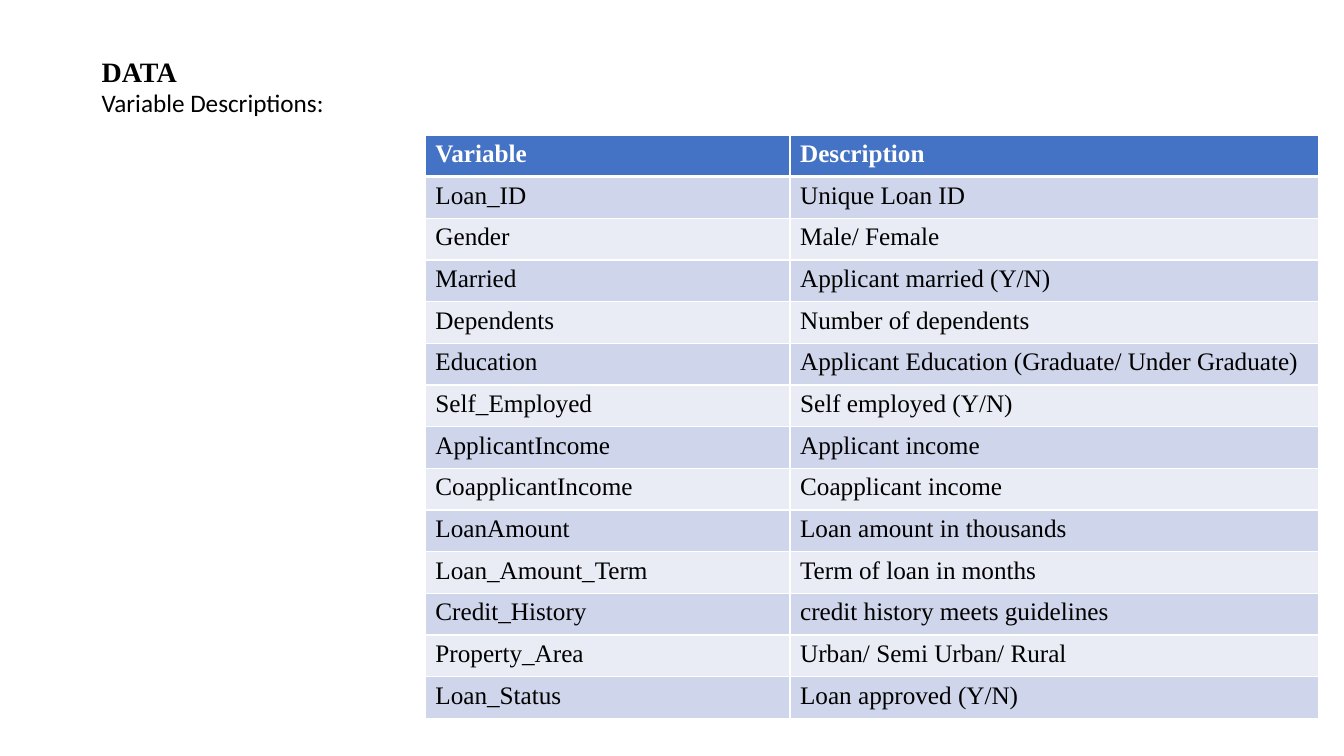
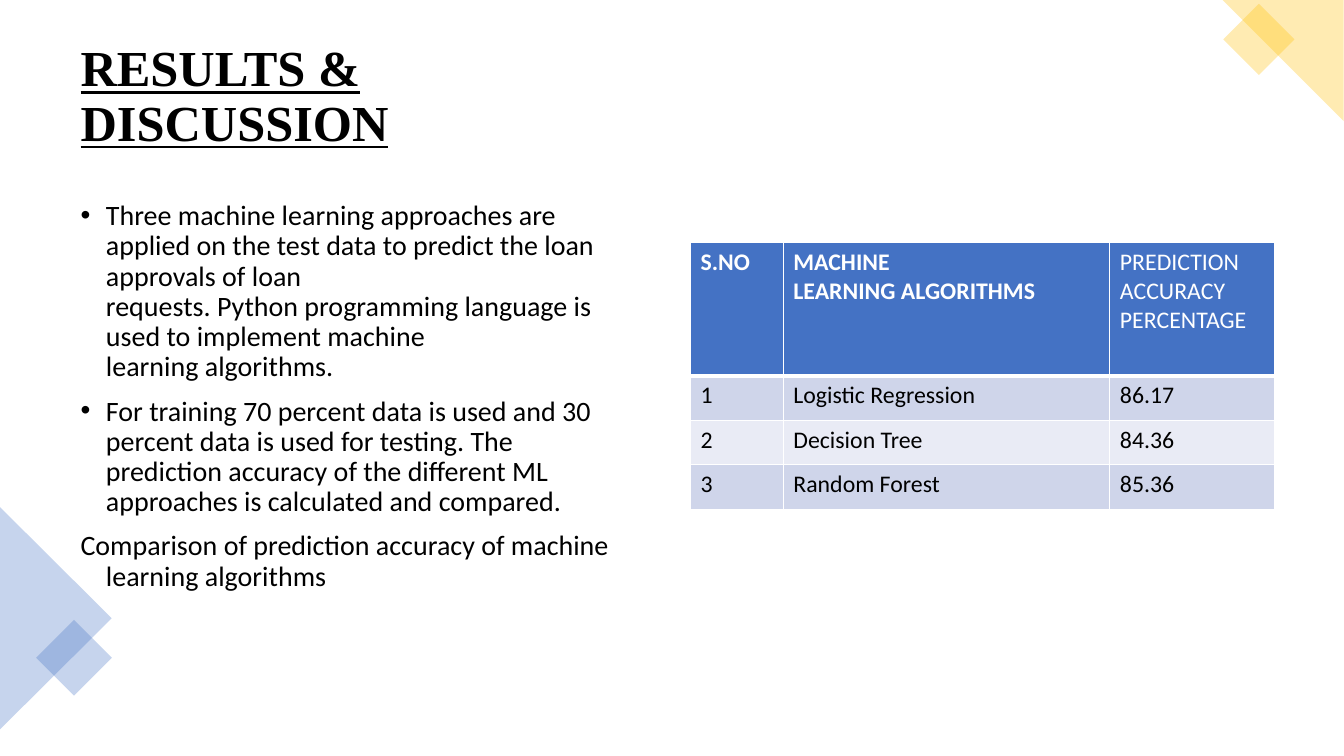
from lxml.etree import SubElement
from pptx import Presentation
from pptx.dml.color import RGBColor
from pptx.enum.shapes import MSO_SHAPE as Preset
from pptx.enum.text import MSO_ANCHOR as Anchor
from pptx.oxml.ns import qn
from pptx.util import Cm, Pt

SERIF, SANS = "Times New Roman", "Calibri"
BLUE, GOLD, BLACK, WHITE = "4472C4", "FFC000", "000000", "FFFFFF"
BANDS = ["E9EBF5", "CFD5EA"]


def paint(fill, color):
    fill.solid()
    fill.fore_color.rgb = RGBColor.from_string(color)


def style(paragraph, size, font, color=BLACK, bold=False):
    for run in paragraph.runs:
        run.font.size = Pt(size)
        run.font.name = font
        run.font.bold = bold
        paint(run.font.fill, color)


deck = Presentation()
deck.slide_width, deck.slide_height = Cm(33.87), Cm(19.05)
data_slide = deck.slides.add_slide(deck.slide_layouts[6])
results_slide = deck.slides.add_slide(deck.slide_layouts[6])

heading = data_slide.shapes.add_textbox(Cm(2.31), Cm(1.24), Cm(7.62), Cm(1.88)).text_frame
heading.word_wrap = True
heading.text = "DATA\nVariable Descriptions:"
style(heading.paragraphs[0], 20, SERIF, bold=True)
style(heading.paragraphs[1], 18, SANS)

title = results_slide.shapes.add_textbox(Cm(1.78), Cm(0.89), Cm(13.82), Cm(3.15)).text_frame
title.word_wrap = True
title.vertical_anchor = Anchor.MIDDLE
title.text = "RESULTS & DISCUSSION"
title.paragraphs[0].line_spacing = 0.9
style(title.paragraphs[0], 36, SERIF, bold=True)
title.paragraphs[0].runs[0].font.underline = True

findings = [
    "Three machine learning approaches are applied on the test data\u00a0to predict the loan "
    "approvals of loan requests.\u00a0Python\u00a0programming language is used to implement "
    "machine learning\u00a0algorithms.",
    "For training 70 percent data is used and 30 percent\u00a0data is used for testing.\u00a0The "
    "prediction accuracy of the different ML approaches is calculated and compared.",
    "Comparison of\u00a0prediction accuracy of machine learning algorithms",
]
body = results_slide.shapes.add_textbox(Cm(1.78), Cm(4.95), Cm(13.82), Cm(12.22)).text_frame
body.word_wrap = True
body.text = "\n".join(findings)
for number, finding in enumerate(body.paragraphs):
    finding.line_spacing = 0.9
    finding.space_before = Pt(10)
    style(finding, 20, SANS)
    indents = finding._p.get_or_add_pPr()
    indents.set("marL", str(Cm(0.64)))
    indents.set("indent", str(-Cm(0.64)))
    if number < 2:
        SubElement(indents, qn("a:buFont"), typeface="Arial")
        SubElement(indents, qn("a:buChar"), char="•")
    else:
        SubElement(indents, qn("a:buNone"))

corners = [
    (Preset.ISOSCELES_TRIANGLE, -1.4, 14.17, 5.61, 2.82, 90, BLUE),
    (Preset.RECTANGLE, 1.19, 15.9, 1.35, 1.35, 45, BLUE),
    (Preset.ISOSCELES_TRIANGLE, 30.81, 0, 3.05, 3.05, 270, GOLD),
    (Preset.RECTANGLE, 31.09, 0.36, 1.27, 1.27, 45, GOLD),
]
for preset, left, top, width, height, turn, color in corners:
    corner = results_slide.shapes.add_shape(preset, Cm(left), Cm(top), Cm(width), Cm(height))
    corner.rotation = turn
    corner.shadow.inherit = False
    corner.line.fill.background()
    paint(corner.fill, color)
    tint = corner._element.spPr.find(qn("a:solidFill")).find(qn("a:srgbClr"))
    SubElement(tint, qn("a:alpha"), val="30000")
    if turn == 270:
        corner.adjustments[0] = 1

variables = [
    ("Variable", "Description"),
    ("Loan_ID", "Unique Loan ID"),
    ("Gender", "Male/ Female"),
    ("Married", "Applicant married (Y/N)"),
    ("Dependents", "Number of dependents"),
    ("Education", "Applicant Education (Graduate/ Under Graduate)"),
    ("Self_Employed", "Self employed (Y/N)"),
    ("ApplicantIncome", "Applicant income"),
    ("CoapplicantIncome", "Coapplicant income"),
    ("LoanAmount", "Loan amount in thousands"),
    ("Loan_Amount_Term", "Term of loan in months"),
    ("Credit_History", "credit history meets guidelines"),
    ("Property_Area", "Urban/ Semi Urban/ Rural"),
    ("Loan_Status", "Loan approved (Y/N)"),
]
accuracies = [
    ("S.NO", "MACHINE LEARNING\u00a0ALGORITHMS", "PREDICTION ACCURACY PERCENTAGE"),
    ("1", "Logistic Regression", "86.17"),
    ("2", "Decision Tree", "84.36"),
    ("3", "Random Forest", "85.36"),
]
tables = [
    (data_slide, variables, 10.72, 3.4, [9.19, 13.31], 1.05, 1.05, 18, SERIF),
    (results_slide, accuracies, 17.4, 6.12, [2.34, 8.23, 4.14], 3.35, 1.12, 17, SANS),
]
for slide, rows, left, top, widths, head_height, row_height, size, font in tables:
    height = head_height + row_height * (len(rows) - 1)
    grid = slide.shapes.add_table(
        len(rows), len(widths), Cm(left), Cm(top), Cm(sum(widths)), Cm(height)).table
    for column, width in zip(grid.columns, widths):
        column.width = Cm(width)
    for r, row in enumerate(rows):
        grid.rows[r].height = Cm(row_height if r else head_height)
        for c, entry in enumerate(row):
            cell = grid.cell(r, c)
            cell.text_frame.text = entry
            style(cell.text_frame.paragraphs[0], size, font,
                  BLACK if r else WHITE, r == 0 and c < 2)
            borders = cell._tc.get_or_add_tcPr()
            for side in ("L", "R", "T", "B"):
                under_head = (r, side) in [(0, "B"), (1, "T")]
                border = SubElement(borders, qn("a:ln" + side), w=str(Pt(3 if under_head else 1)))
                stroke = SubElement(border, qn("a:solidFill"))
                SubElement(stroke, qn("a:srgbClr"), val=WHITE)
            paint(cell.fill, BANDS[r % 2] if r else BLUE)

deck.save("out.pptx")
